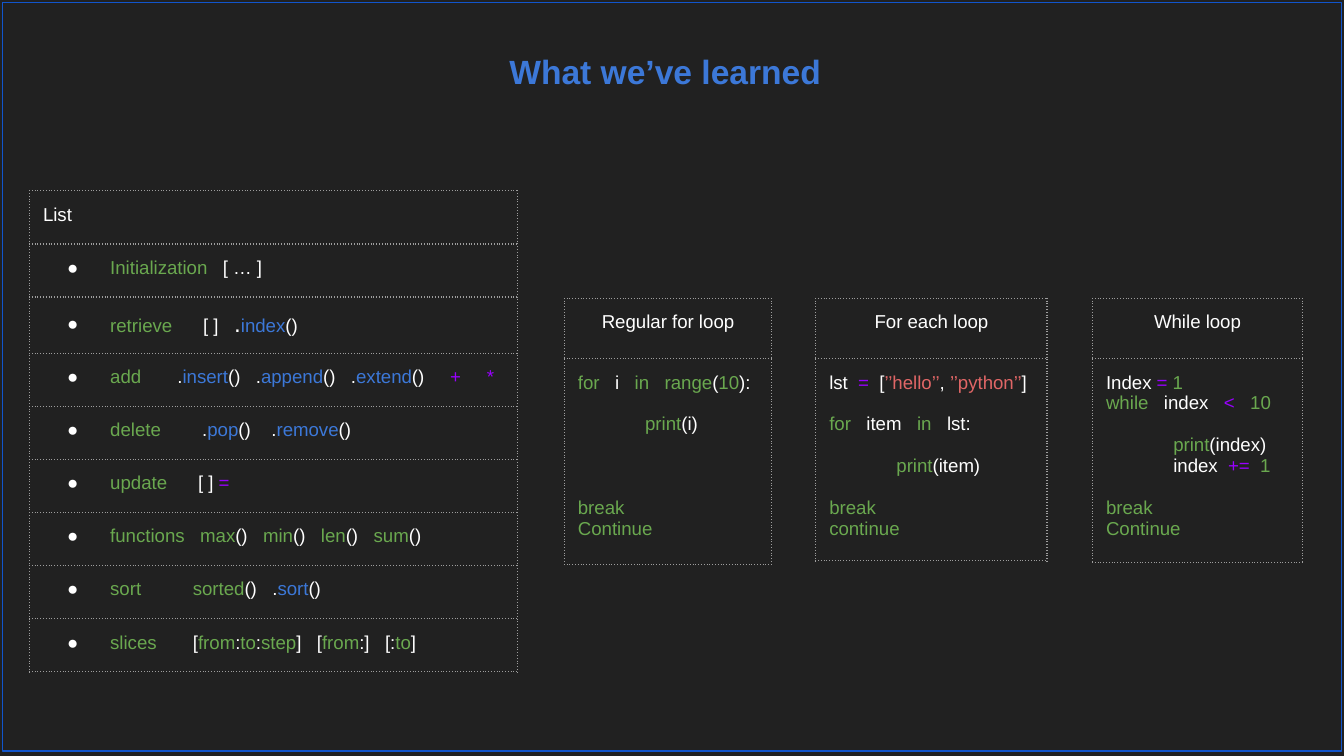
from dataclasses import dataclass

from lxml import etree
from pptx import Presentation
from pptx import util as u
from pptx.dml.color import RGBColor
from pptx.enum import shapes, text
from pptx.oxml import ns


@dataclass(frozen=True)
class Theme:
    background: str = "212121"
    frame: str = "1155CC"
    border: str = "9E9E9E"
    plain: str = "FFFFFF"
    keyword: str = "6AA84F"
    method: str = "3C78D8"
    operator: str = "9900FF"
    string: str = "E06666"
    font: str = "Arial"
    title_size: float = 18
    body_size: float = 10
    dot_size: float = 13
    line_height: float = 11.2
    line_width: float = 0.75


THEME = Theme()
TXT, KEY, METHOD = THEME.plain, THEME.keyword, THEME.method
OP, STRING = THEME.operator, THEME.string

LIST_HEIGHT = 3.58
RETRIEVE_HEIGHT = 0.42
LIST_ROWS = [
    [(KEY, "Initialization   "), (TXT, "[ … ]")],
    [(KEY, "retrieve      "), (TXT, "[ ]   "), (TXT, ".", THEME.dot_size),
     (METHOD, "index"), (TXT, "()")],
    [(KEY, "add       "), (TXT, "."), (METHOD, "insert"), (TXT, "()   ."),
     (METHOD, "append"), (TXT, "()   ."), (METHOD, "extend"), (TXT, "()     "),
     (OP, "+     *")],
    [(KEY, "delete"), (TXT, "        ."), (METHOD, "pop"), (TXT, "()    ."),
     (METHOD, "remove"), (TXT, "()")],
    [(KEY, "update      "), (TXT, "[ ] "), (OP, "=")],
    [(KEY, "functions   max"), (TXT, "()"), (KEY, "   min"), (TXT, "()"),
     (KEY, "   len"), (TXT, "()   "), (KEY, "sum"), (TXT, "()")],
    [(KEY, "sort          sorted"), (TXT, "()   ."), (METHOD, "sort"), (TXT, "()")],
    [(KEY, "slices       "), (TXT, "["), (KEY, "from"), (TXT, ":"), (KEY, "to"),
     (TXT, ":"), (KEY, "step"), (TXT, "]   ["), (KEY, "from"), (TXT, ":]   [:"),
     (KEY, "to"), (TXT, "]")],
]

# Each code line: blank lines above it, indent in inches, coloured pieces.
FOR_LOOP = [
    (0, 0, [(KEY, "for"), (TXT, "   i   "), (KEY, "in   range"), (TXT, "("),
            (KEY, "10"), (TXT, "):")]),
    (1, 0.5, [(KEY, "print"), (TXT, "(i)")]),
    (3, 0, [(KEY, "break")]),
    (0, 0, [(KEY, "Continue")]),
]
FOR_EACH_LOOP = [
    (0, 0, [(TXT, "lst  "), (OP, "=  "), (TXT, "["), (STRING, "’’hello’’"),
            (TXT, ","), (STRING, " ’’python’’"), (TXT, "]")]),
    (1, 0, [(KEY, "for"), (TXT, "   item   "), (KEY, "in   "), (TXT, "lst:")]),
    (1, 0.5, [(KEY, "print"), (TXT, "(item)")]),
    (1, 0, [(KEY, "break")]),
    (0, 0, [(KEY, "continue")]),
]
WHILE_LOOP = [
    (0, 0, [(TXT, "Index "), (OP, "="), (KEY, " 1")]),
    (0, 0, [(KEY, "while   "), (TXT, "index   "), (OP, "<"), (KEY, "   10")]),
    (1, 0.5, [(KEY, "print"), (TXT, "(index)")]),
    (0, 0.5, [(TXT, "index  "), (OP, "+=  "), (KEY, "1")]),
    (1, 0, [(KEY, "break")]),
    (0, 0, [(KEY, "Continue")]),
]

# Heading, left, width, height of the last row, code.
LOOPS = [
    ("Regular for loop", 4.2, 1.54, 0.29, FOR_LOOP),
    ("For each loop", 6.07, 1.72, 0.2, FOR_EACH_LOOP),
    ("While loop", 8.13, 1.56, 0.2, WHILE_LOOP),
]


def rgb(colour):
    return RGBColor.from_string(colour)


def add_child(parent, tag, **attributes):
    return etree.SubElement(parent, ns.qn(tag), attributes)


def set_margins(box, margin=0.1):
    box.margin_left = box.margin_right = u.Inches(margin)
    box.margin_top = box.margin_bottom = u.Inches(margin)


def write(paragraph, pieces, size=THEME.body_size):
    """Fill a paragraph with (colour, text[, size]) pieces."""
    paragraph.font.name = THEME.font
    paragraph.font.size = u.Pt(size)
    for colour, words, *own_size in pieces:
        run = paragraph.add_run()
        run.text = words
        run.font.color.rgb = rgb(colour)
        if own_size:
            run.font.size = u.Pt(own_size[0])


def add_bullet(paragraph):
    props = paragraph._p.get_or_add_pPr()
    props.set("marL", str(u.Inches(0.5)))
    props.set("indent", str(u.Inches(-0.32)))
    add_child(add_child(props, "a:buClr"), "a:srgbClr", val=THEME.plain)
    add_child(props, "a:buFont", typeface=THEME.font)
    add_child(props, "a:buChar", char="●")


def style_cell(cell):
    """Give a cell dotted borders, no fill and even margins."""
    set_margins(cell)
    props = cell._tc.get_or_add_tcPr()
    for side in ("a:lnL", "a:lnR", "a:lnT", "a:lnB"):
        line = add_child(props, side, w=str(u.Pt(THEME.line_width)))
        add_child(add_child(line, "a:solidFill"), "a:srgbClr", val=THEME.border)
        add_child(line, "a:prstDash", val="dot")
    cell.fill.background()


def add_column_table(slide, left, top, width, heights):
    frame = slide.shapes.add_table(
        len(heights), 1, u.Inches(left), u.Inches(top),
        u.Inches(width), u.Inches(sum(heights)))
    table = frame.table
    table.first_row = table.horz_banding = False
    for row, height in zip(table.rows, heights):
        row.height = u.Inches(height)
        style_cell(row.cells[0])
    return table


def add_list_table(slide):
    heights = [(LIST_HEIGHT - RETRIEVE_HEIGHT) / len(LIST_ROWS)] * (len(LIST_ROWS) + 1)
    heights[2] = RETRIEVE_HEIGHT
    table = add_column_table(slide, 0.22, 1.42, 3.63, heights)
    write(table.cell(0, 0).text_frame.paragraphs[0], [(TXT, "List")])
    for row, pieces in enumerate(LIST_ROWS, start=1):
        paragraph = table.cell(row, 0).text_frame.paragraphs[0]
        add_bullet(paragraph)
        write(paragraph, pieces)


def add_loop_table(slide, heading, left, width, last_height, code):
    table = add_column_table(slide, left, 2.22, width, [0.45, 1.24, last_height])
    header = table.cell(0, 0).text_frame.paragraphs[0]
    header.alignment = text.PP_ALIGN.CENTER
    write(header, [(TXT, heading)])
    body, covered = table.cell(1, 0), table.cell(2, 0)
    set_margins(covered, 0)
    body.merge(covered)
    frame = body.text_frame
    for number, (blank_lines, indent, pieces) in enumerate(code):
        paragraph = frame.add_paragraph() if number else frame.paragraphs[0]
        if indent:
            paragraph._p.get_or_add_pPr().set("marL", str(u.Inches(indent)))
        if blank_lines:
            paragraph.space_before = u.Pt(blank_lines * THEME.line_height)
        write(paragraph, pieces)


def add_title(slide, words):
    box = slide.shapes.add_textbox(
        u.Inches(-0.05), u.Inches(0.28), u.Inches(10), u.Inches(0.63))
    frame = box.text_frame
    frame.word_wrap = True
    set_margins(frame)
    paragraph = frame.paragraphs[0]
    paragraph.alignment = text.PP_ALIGN.CENTER
    paragraph.font.bold = True
    write(paragraph, [(METHOD, words)], THEME.title_size)


def add_frame(slide):
    border = slide.shapes.add_shape(
        shapes.MSO_SHAPE.RECTANGLE, u.Inches(0.02), u.Inches(0.02),
        u.Inches(9.96), u.Inches(5.57))
    border.shadow.inherit = False
    border.fill.background()
    border.line.color.rgb = rgb(THEME.frame)
    border.line.width = u.Pt(THEME.line_width)


def main():
    deck = Presentation()
    deck.slide_width = u.Inches(10)
    deck.slide_height = deck.slide_width * 9 // 16
    slide = deck.slides.add_slide(deck.slide_layouts[6])
    slide.background.fill.solid()
    slide.background.fill.fore_color.rgb = rgb(THEME.background)
    add_title(slide, "What we’ve learned")
    add_list_table(slide)
    for loop in LOOPS:
        add_loop_table(slide, *loop)
    add_frame(slide)
    deck.save("out.pptx")


if __name__ == "__main__":
    main()
